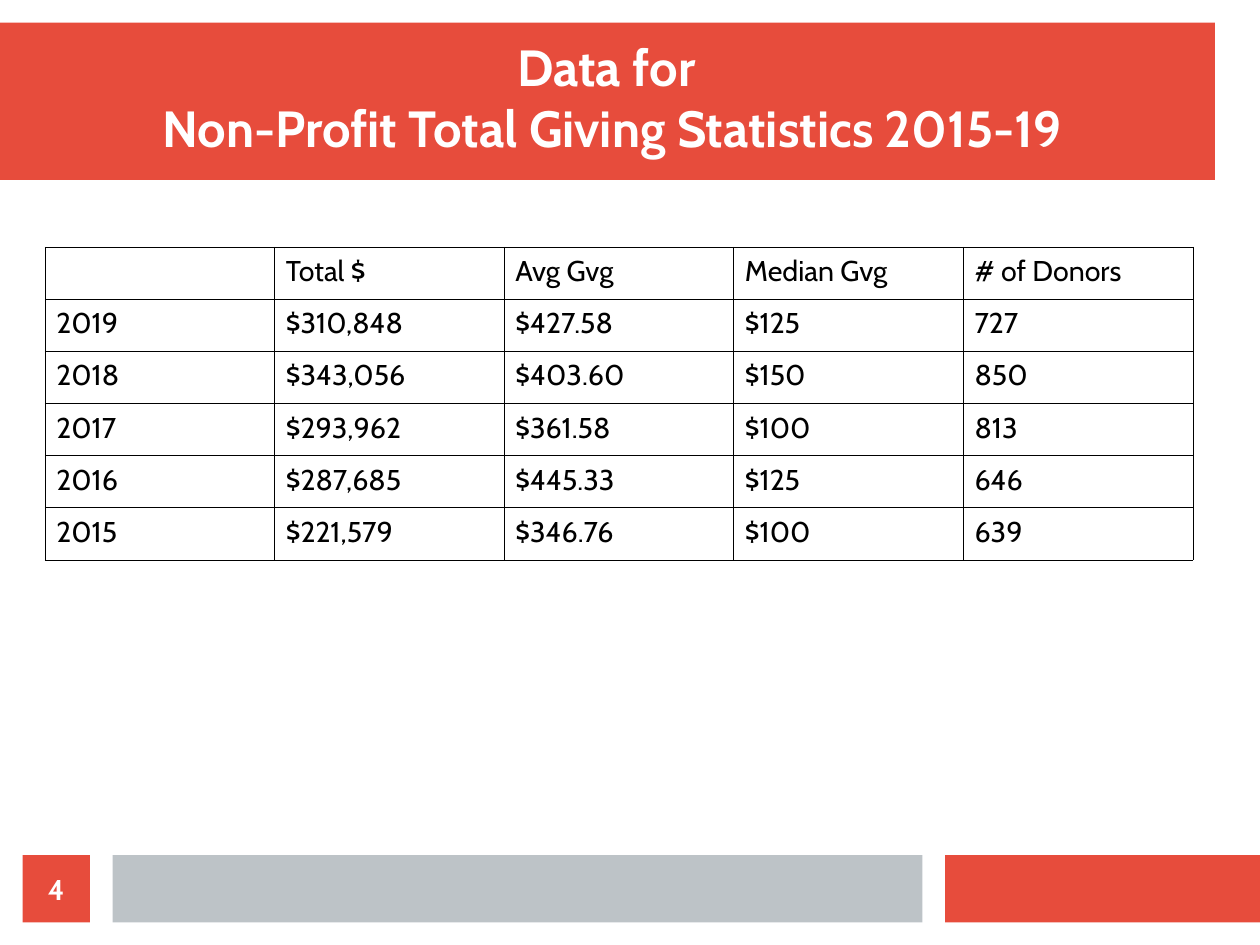
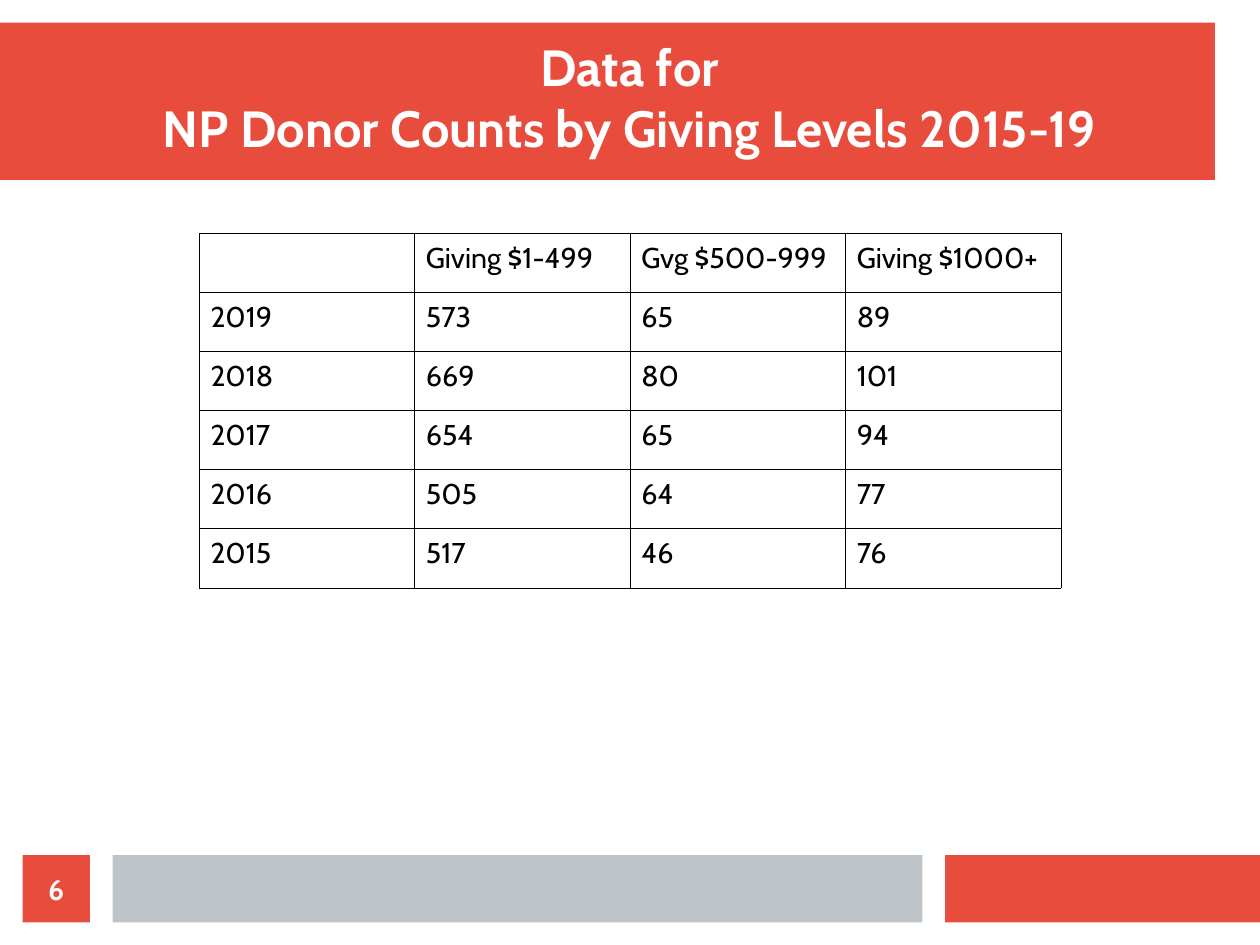
"""Build two data slides on non-profit giving, 2015-19."""
from lxml.etree import SubElement
from pptx import Presentation
from pptx.dml.color import RGBColor
from pptx.enum.shapes import MSO_SHAPE
from pptx.enum.text import MSO_ANCHOR, PP_ALIGN
from pptx.oxml.ns import qn
from pptx.util import Pt

COLORS = {"red": "E74C3C", "gray": "BDC3C7", "white": "FFFFFF", "black": "000000"}
FONT = "Cabin"
FOOTER_TOP, FOOTER_HEIGHT = 538.6, 42.5
BANDS = [
    (0, 14.2, 765.3, 99.2, "red"),
    (595.3, FOOTER_TOP, 198.4, FOOTER_HEIGHT, "red"),
    (70.9, FOOTER_TOP, 510.2, FOOTER_HEIGHT, "gray"),
    (14.2, FOOTER_TOP, 42.5, FOOTER_HEIGHT, "red"),
]
YEARS = ["2019", "2018", "2017", "2016", "2015"]
PAGES = [
    {
        "number": "4",
        "title": ["Data for ", "Non-Profit Total Giving Statistics 2015-19"],
        "title_left": 17.2,
        "origin": (28.3, 155.6),
        "cell_size": (144.6, 32.85),
        "columns": {
            "Total $": ["$310,848", "$343,056", "$293,962", "$287,685", "$221,579"],
            "Avg Gvg": ["$427.58", "$403.60", "$361.58", "$445.33", "$346.76"],
            "Median Gvg": ["$125", "$150", "$100", "$125", "$100"],
            "# of Donors": ["727", "850", "813", "646", "639"],
        },
    },
    {
        "number": "6",
        "title": ["Data for", "NP Donor Counts by Giving Levels 2015-19"],
        "title_left": 28.3,
        "origin": (125.4, 147),
        "cell_size": (135.7, 37.2),
        "columns": {
            "Giving $1-499": ["573", "669", "654", "505", "517"],
            "Gvg $500-999": ["65", "80", "65", "64", "46"],
            "Giving $1000+": ["89", "101", "94", "77", "76"],
        },
    },
]


def add_run(paragraph, text, size, color, bold=False):
    run = paragraph.add_run()
    run.text = text
    run.font.name = FONT
    run.font.size = Pt(size)
    run.font.bold = bold
    run.font.color.rgb = RGBColor.from_string(COLORS[color])


def centre_text(frame, anchor):
    frame.margin_left = frame.margin_top = frame.margin_right = frame.margin_bottom = 0
    frame.word_wrap = True
    frame.vertical_anchor = anchor
    paragraph = frame.paragraphs[0]
    paragraph.alignment = PP_ALIGN.CENTER
    return paragraph


deck = Presentation()
deck.slide_width, deck.slide_height = Pt(793.7), Pt(595.3)

for page in PAGES:
    slide = deck.slides.add_slide(deck.slide_layouts[6])

    for *box, color in BANDS:
        band = slide.shapes.add_shape(MSO_SHAPE.RECTANGLE, *map(Pt, box))
        band.shadow.inherit = False
        band.fill.solid()
        band.fill.fore_color.rgb = RGBColor.from_string(COLORS[color])
        band.line.fill.background()
    add_run(centre_text(band.text_frame, MSO_ANCHOR.MIDDLE), page["number"], 18, "white", True)

    title = slide.shapes.add_textbox(Pt(page["title_left"]), Pt(28.3), Pt(737), Pt(70.9))
    heading = centre_text(title.text_frame, MSO_ANCHOR.BOTTOM)
    add_run(heading, page["title"][0], 32, "white", True)
    heading.add_line_break()
    add_run(heading, page["title"][1], 32, "white", True)

    columns = [["", *YEARS]] + [[name, *values] for name, values in page["columns"].items()]
    left, top = page["origin"]
    width, height = page["cell_size"]
    giving = slide.shapes.add_table(
        len(columns[0]), len(columns), Pt(left), Pt(top),
        Pt(width * len(columns)), Pt(height * len(columns[0])),
    ).table
    giving.first_row = giving.horz_banding = False
    for row in giving.rows:
        row.height = Pt(height)
    for column_index, entries in enumerate(columns):
        giving.columns[column_index].width = Pt(width)
        for row_index, entry in enumerate(entries):
            cell = giving.cell(row_index, column_index)
            properties = cell._tc.get_or_add_tcPr()
            for side in ("a:lnL", "a:lnR", "a:lnT", "a:lnB"):
                border = SubElement(properties, qn(side), w=str(Pt(0.06)))
                paint = SubElement(border, qn("a:solidFill"))
                SubElement(paint, qn("a:srgbClr"), val=COLORS["black"])
            cell.fill.background()
            if entry:
                paragraph = cell.text_frame.paragraphs[0]
                paragraph.line_spacing = 1.04
                add_run(paragraph, entry, 18, "black")

deck.save("out.pptx")
